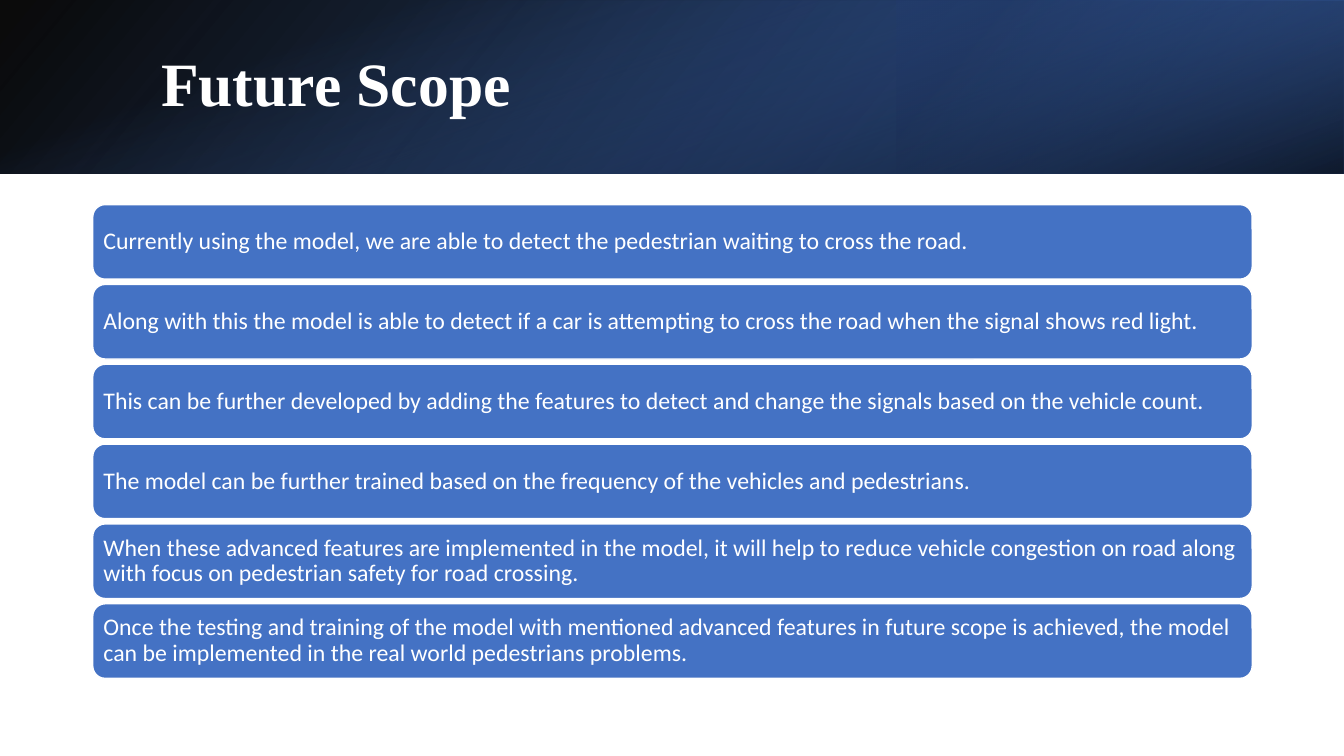
import pptx
import pptx.util
import pptx.dml.color
import pptx.enum.shapes
import pptx.enum.text
import pptx.oxml
import pptx.oxml.ns
from pptx.util import Inches

# Content
TITLE = "Future Scope"
POINTS = [
    "Currently using the model, we are able to detect the pedestrian waiting to cross the road.",
    "Along with this the model is able to detect if a car is attempting to cross the road when the signal shows red light.",
    "This can be further developed by adding the features to detect and change the signals based on the vehicle count.",
    "The model can be further trained based on the frequency of the vehicles and pedestrians.",
    "When these advanced features are implemented in the model, it will help to reduce vehicle congestion on road along with focus on pedestrian safety for road crossing.",
    "Once the testing and training of the model with mentioned advanced features in future scope is achieved, the model can be implemented in the real world pedestrians problems.",
]

THEME = {
    "white": "FFFFFF", "card": "4472C4",
    "title_font": "Times New Roman", "title_size": 44,
    "body_font": "Calibri", "body_size": 17,
}

# Banner layers: box, rotation, mirrored, angle, stops of (position, colour, opacity)
BANNER = [
    ((0, 0, 13.33, 1.72), 0, True, 140, [(0, "000000", 96), (100, "2F5597", 100)]),
    ((8.89, 0, 4.44, 1.72), 180, True, 320, [(19, "203864", 68), (100, "4472C4", 79)]),
    ((5.8, -5.8, 1.72, 13.33), 90, False, 340, [(23, "4472C4", 0), (99, "000000", 74)]),
]

# Card stack
CARD_LEFT, CARD_WIDTH, CARD_HEIGHT = 0.92, 11.5, 0.74
FIRST_TOP, LAST_TOP = 2.03, 5.99
CARD_PITCH = (LAST_TOP - FIRST_TOP) / (len(POINTS) - 1)
CARD_INSET = 0.07


def rgb(name):
    return pptx.dml.color.RGBColor.from_string(THEME[name])


def add_box(page, kind, box):
    shape = page.shapes.add_shape(kind, *map(Inches, box))
    shape.shadow.inherit = False
    return shape


def add_banner_layer(page, box, rotation, mirrored, angle, stops):
    layer = add_box(page, pptx.enum.shapes.MSO_SHAPE.RECTANGLE, box)
    layer.rotation = rotation
    layer.line.fill.background()
    layer.fill.background()
    properties = layer._element.spPr
    if mirrored:
        properties.find(pptx.oxml.ns.qn("a:xfrm")).set("flipH", "1")
    stop_xml = "".join(
        f'<a:gs pos="{position * 1000}"><a:srgbClr val="{colour}">'
        f'<a:alpha val="{opacity * 1000}"/></a:srgbClr></a:gs>'
        for position, colour, opacity in stops
    )
    gradient = pptx.oxml.parse_xml(
        f'<a:gradFill {pptx.oxml.ns.nsdecls("a")} rotWithShape="1">'
        f'<a:gsLst>{stop_xml}</a:gsLst><a:lin ang="{angle * 60000}" scaled="0"/></a:gradFill>'
    )
    empty_fill = properties.find(pptx.oxml.ns.qn("a:noFill"))
    properties.replace(empty_fill, gradient)


def write_text(shape, text, style, bold=False):
    frame = shape.text_frame
    frame.word_wrap = True
    frame.vertical_anchor = pptx.enum.text.MSO_ANCHOR.MIDDLE
    frame.text = text
    para = frame.paragraphs[0]
    para.alignment = pptx.enum.text.PP_ALIGN.LEFT
    para.line_spacing = 0.9
    font = para.runs[0].font
    font.name = THEME[f"{style}_font"]
    font.size = pptx.util.Pt(THEME[f"{style}_size"])
    font.bold = bold
    font.color.rgb = rgb("white")


def add_card(page, top, text):
    box = (CARD_LEFT, top, CARD_WIDTH, CARD_HEIGHT)
    card = add_box(page, pptx.enum.shapes.MSO_SHAPE.ROUNDED_RECTANGLE, box)
    card.fill.solid()
    card.fill.fore_color.rgb = rgb("card")
    card.line.color.rgb = rgb("white")
    card.line.width = pptx.util.Pt(1)
    frame = card.text_frame
    frame.margin_left = frame.margin_right = Inches(CARD_INSET)
    frame.margin_top = frame.margin_bottom = Inches(CARD_INSET)
    write_text(card, text, "body")


def main():
    deck = pptx.Presentation()
    deck.slide_width, deck.slide_height = Inches(13.33), Inches(7.5)
    page = deck.slides.add_slide(deck.slide_layouts[6])

    # Banner and title
    for layer in BANNER:
        add_banner_layer(page, *layer)
    title = page.shapes.add_textbox(*map(Inches, (1.5, 0.38, 10.98, 0.96)))
    write_text(title, TITLE, "title", bold=True)

    # One card per point
    for index, point in enumerate(POINTS):
        add_card(page, FIRST_TOP + index * CARD_PITCH, point)

    deck.save("out.pptx")


if __name__ == "__main__":
    main()
